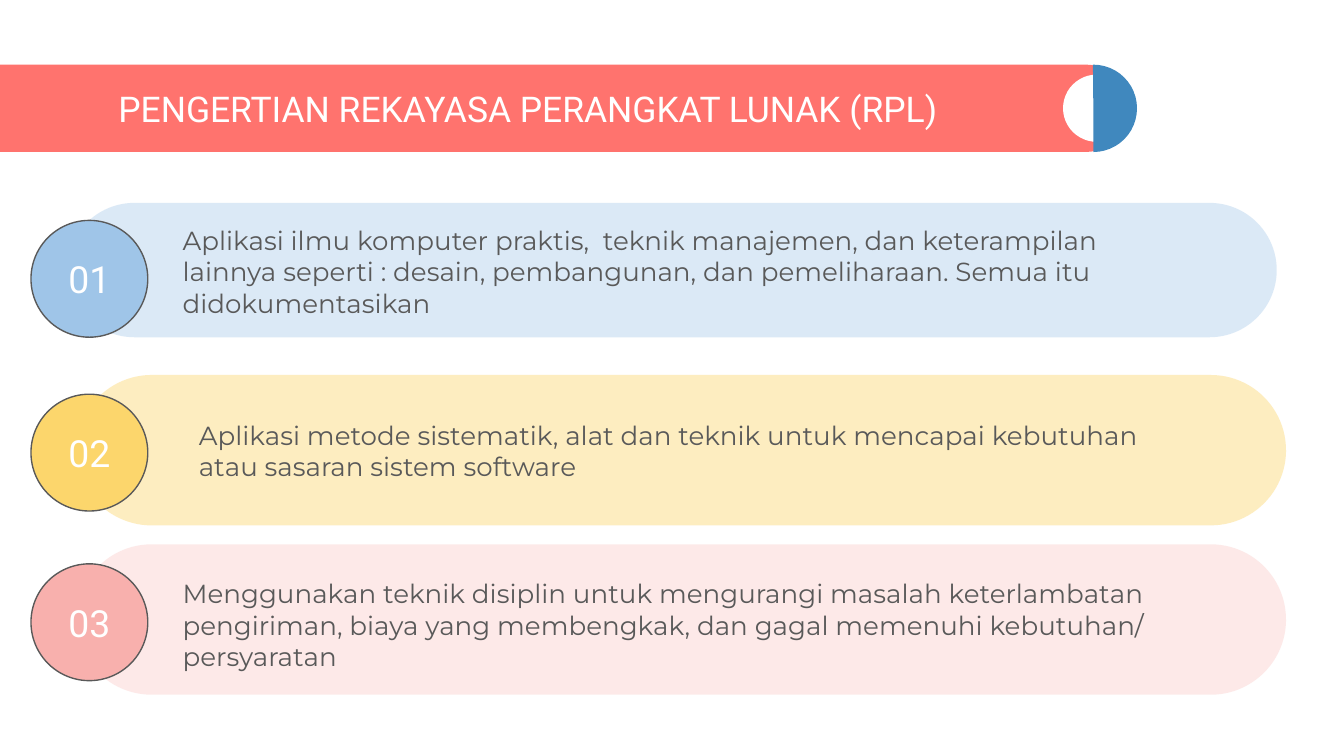
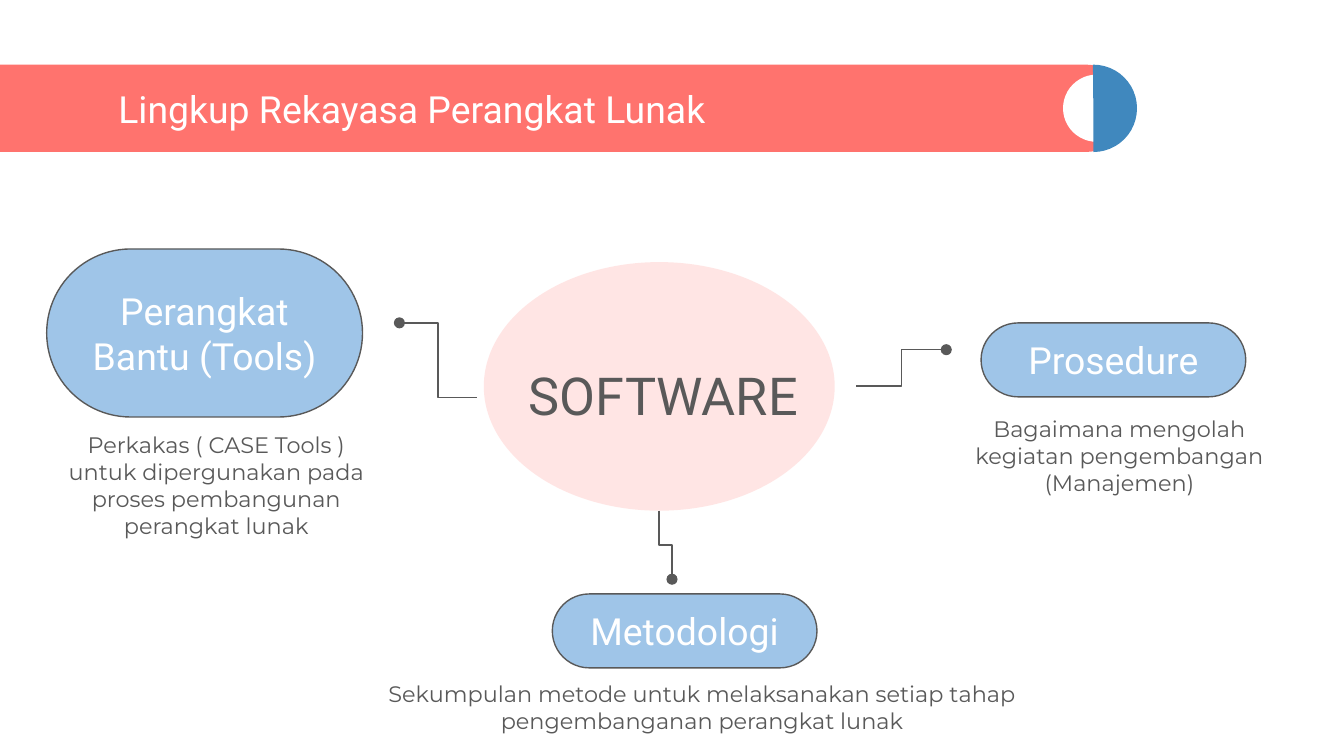
from lxml import etree
from pptx import Presentation
from pptx.dml.color import RGBColor
from pptx.enum.shapes import MSO_CONNECTOR, MSO_SHAPE
from pptx.enum.text import MSO_ANCHOR, MSO_AUTO_SIZE, PP_ALIGN
from pptx.oxml.ns import qn
from pptx.util import Pt

PILL, OVAL, PIE = MSO_SHAPE.ROUNDED_RECTANGLE, MSO_SHAPE.OVAL, MSO_SHAPE.PIE
ELBOW = MSO_CONNECTOR.ELBOW
LEFT, CENTER = PP_ALIGN.LEFT, PP_ALIGN.CENTER
TOP, MIDDLE = MSO_ANCHOR.TOP, MSO_ANCHOR.MIDDLE
NO_FIT = MSO_AUTO_SIZE.NONE

WHITE = RGBColor(0xFF, 0xFF, 0xFF)
GRAY = RGBColor(0x59, 0x59, 0x59)
CORAL = RGBColor(0xFF, 0x73, 0x6E)
NAVY = RGBColor(0x40, 0x88, 0xBE)
BLUE = RGBColor(0x9F, 0xC5, 0xE8)
AMBER = RGBColor(0xFB, 0xBE, 0x18)
GOLD = RGBColor(0xFC, 0xD6, 0x6C)
PINK = RGBColor(0xF8, 0xB0, 0xAD)

HEAD, BODY = "Roboto", "Montserrat"
DISC = 62.6  # diameter of a number disc


def place(box):
    return [Pt(v) for v in box]


def write(shape, text, size, color, font=HEAD, align=CENTER, anchor=MIDDLE,
          after=0):
    frame = shape.text_frame
    frame.text = text
    frame.word_wrap = True
    frame.auto_size = NO_FIT
    frame.vertical_anchor = anchor
    frame.margin_left = frame.margin_right = Pt(7.2)
    frame.margin_top = frame.margin_bottom = Pt(7.2)
    para = frame.paragraphs[0]
    para.alignment = align
    para.space_after = Pt(after)
    para.font.name, para.font.size = font, Pt(size)
    para.font.color.rgb = color


def draw(slide, kind, box, fill, alpha=100, edge=False):
    shape = slide.shapes.add_shape(kind, *place(box))
    shape.shadow.inherit = False
    shape.fill.solid()
    shape.fill.fore_color.rgb = fill
    if kind == PILL:
        shape.adjustments[0] = 0.5
    if alpha < 100:
        tint = shape.element.spPr.find(".//" + qn("a:srgbClr"))
        etree.SubElement(tint, qn("a:alpha"), val=str(alpha * 1000))
    if edge:
        shape.line.color.rgb = GRAY
        shape.line.width = Pt(0.75)
    else:
        shape.line.fill.background()
    return shape


def label(slide, box, text, size, **style):
    note = slide.shapes.add_textbox(*place(box))
    write(note, text, size, GRAY, anchor=TOP, **style)


def link(slide, start, end, down=False):
    """Elbow ending in a dot; down makes it leave its start vertically."""
    (x1, y1), (x2, y2) = start, end
    if down:  # lay the elbow flat around its centre, then turn it
        cx, cy = (x1 + x2) / 2, (y1 + y2) / 2
        dx, dy = (x2 - x1) / 2, (y2 - y1) / 2
        x1, y1, x2, y2 = cx + dy, cy - dx, cx - dy, cy + dx
    line = slide.shapes.add_connector(ELBOW, *place((x1, y1, x2, y2)))
    line.line.color.rgb = GRAY
    line.line.width = Pt(0.75)
    props = line.element.spPr
    if down:
        props.xfrm.set("rot", str(270 * 60000))
    etree.SubElement(props.find(qn("a:ln")), qn("a:tailEnd"), type="oval")
    etree.SubElement(props, qn("a:effectLst"))


# Title band shared by both slides
def banner(deck, text, size):
    slide = deck.slides.add_slide(deck.slide_layouts[5])
    x, y, high = 562.3, 34.6, 46.8
    draw(slide, PILL, (-23, y, 628, high), CORAL)
    draw(slide, OVAL, (x + 7.2, y + 5.4, 36, 36), WHITE)
    half = draw(slide, PIE, (x, y, high, high), NAVY)
    half.adjustments[0], half.adjustments[1] = 53.67, 162
    half.rotation = 180
    title = slide.shapes.title
    title.left, title.top, title.width, title.height = place(
        (56.2, 43.2, 501.8, 29.5))
    write(title, text, size, WHITE, align=LEFT)
    slide.shapes.element.append(title.element)  # bring above the band
    return slide


# Numbered row: bar, disc and text, relative to the bar's box
def row(slide, box, num, text, bar, alpha, tone, drop, inset):
    x, y, wide, high = box
    draw(slide, PILL, box, bar, alpha)
    disc = draw(slide, OVAL, (16.6, y + drop, DISC, DISC), tone, edge=True)
    write(disc, f"{num:02}", 20, WHITE)
    dx, dy, span = inset
    label(slide, (x + dx, y + dy, span, 64), text, 14,
          font=BODY, align=LEFT, after=16)


# Topic: pill with its note, placed relative to the pill's box
def topic(slide, box, name, text, inset):
    x, y, wide, high = box
    write(draw(slide, PILL, box, BLUE, edge=True), name, 20, WHITE)
    dx, dy, span = inset
    label(slide, (x + dx, y + high + dy, span, 64), text, 12,
          font=BODY, after=6)


def define(deck):
    slide = banner(deck, "PENGERTIAN REKAYASA PERANGKAT LUNAK (RPL)", 19)
    rows = [
        ((36, 108.7, 648, 72),
         "Aplikasi ilmu komputer praktis,  teknik manajemen, dan keterampilan "
         "lainnya seperti : desain, pembangunan, dan pemeliharaan. Semua itu "
         "didokumentasikan", BLUE, 37, BLUE, 9.4, (54.7, 4.3, 548.6)),
        ((41, 200.9, 648, 80.6),
         "Aplikasi metode sistematik, alat dan teknik untuk mencapai "
         "kebutuhan atau sasaran sistem software",
         AMBER, 27, GOLD, 10.3, (58.4, 16.5, 531.4)),
        ((41, 291.6, 648, 80.6),
         "Menggunakan teknik disiplin untuk mengurangi masalah keterlambatan "
         "pengiriman, biaya yang membengkak, dan gagal memenuhi kebutuhan/ "
         "persyaratan", PINK, 27, PINK, 10.5, (49.7, 10.8, 531.4)),
    ]
    for num, (box, *rest) in enumerate(rows, 1):
        row(slide, box, num, *rest)


def scope(deck):
    slide = banner(deck, "Lingkup Rekayasa Perangkat Lunak", 20)
    # Core
    draw(slide, OVAL, (259.2, 140.4, 188, 133.2), CORAL, 18)
    label(slide, (261.4, 187.2, 188, 56.2), "SOFTWARE", 28)
    # Links from the core to the topics
    link(slide, (458.8, 206.8), (507, 187.4))
    link(slide, (353, 273.6), (360, 310.3), down=True)
    link(slide, (255.4, 213), (214, 173))
    # Topics
    topic(slide, (295.9, 318.2, 141.8, 39.6), "Metodologi",
          "Sekumpulan metode untuk melaksanakan setiap tahap "
          "pengembanganan perangkat lunak", (-138.2, -0.7, 437))
    topic(slide, (25, 133.4, 169.2, 90), "Perangkat Bantu (Tools)",
          "Perkakas ( CASE Tools ) untuk dipergunakan pada proses "
          "pembangunan perangkat lunak", (-4.1, 0.5, 190))
    topic(slide, (525.6, 173, 141.8, 39.6), "Prosedure",
          "Bagaimana mengolah kegiatan pengembangan (Manajemen)",
          (-20.9, 2.7, 190))


def main():
    deck = Presentation()
    deck.slide_width, deck.slide_height = Pt(720), Pt(405)
    define(deck)
    scope(deck)
    deck.save("out.pptx")


if __name__ == "__main__":
    main()
